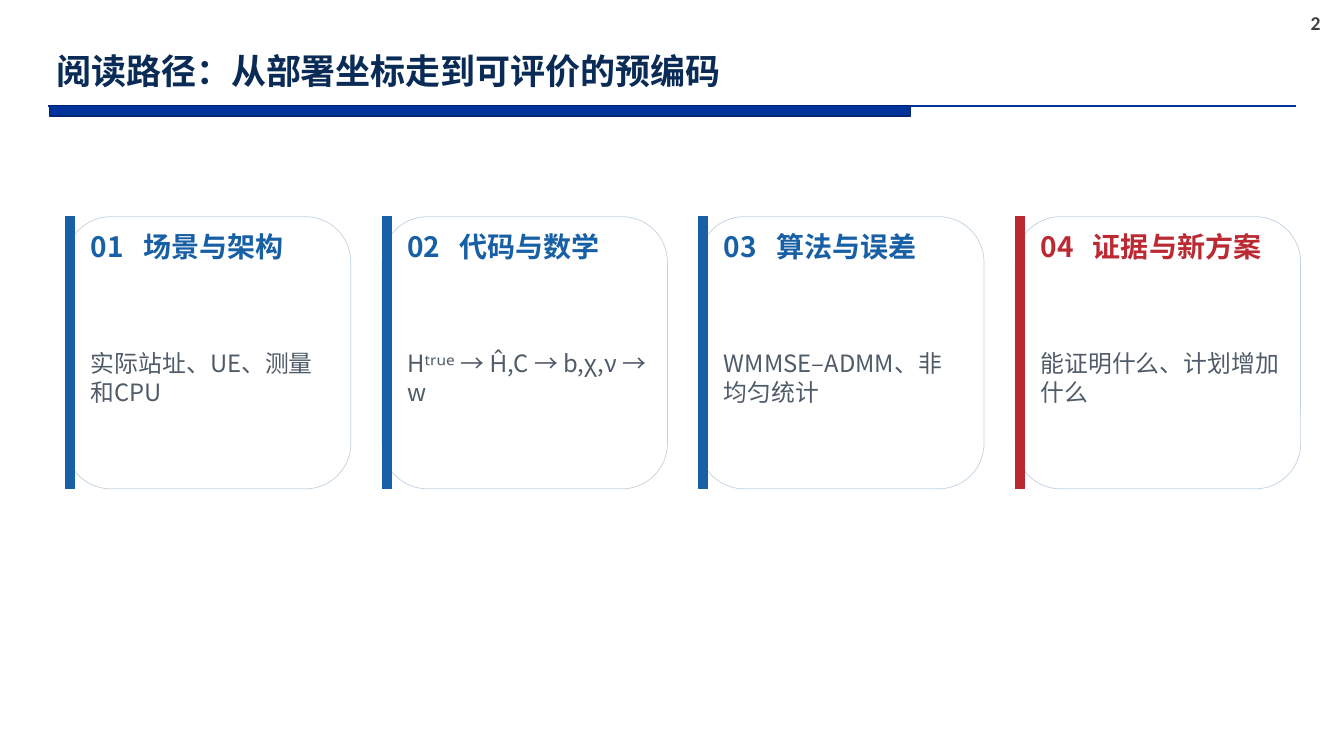
import pptx
import pptx.dml.color
import pptx.enum.shapes
import pptx.enum.text
import pptx.oxml.ns
import pptx.util
from lxml import etree
from pptx.util import Inches, Pt

TITLE = "阅读路径：从部署坐标走到可评价的预编码"
PAGE_NUMBER = "2"
BLUE, RED = "1860A6", "BB2A33"
CARDS = [
    ("01", "场景与架构", "实际站址、UE、测量和CPU", BLUE),
    ("02", "代码与数学", "Hᵗʳᵘᵉ → Ĥ,C → b,χ,ν → w", BLUE),
    ("03", "算法与误差", "WMMSE–ADMM、非均匀统计", BLUE),
    ("04", "证据与新方案", "能证明什么、计划增加什么", RED),
]
CARD_LEFT, CARD_TOP, CARD_STEP = 0.65, 2.15, 3.14
CARD_WIDTH, CARD_HEIGHT, ACCENT_WIDTH = 2.83, 2.7, 0.09
CJK_FONT = "Noto Sans CJK SC"
SHAPES = pptx.enum.shapes.MSO_SHAPE
qn = pptx.oxml.ns.qn


def colour(hex_string):
    return pptx.dml.color.RGBColor.from_string(hex_string)


def add_box(slide, kind, bounds, fill, line, line_width):
    shape = slide.shapes.add_shape(kind, *map(Inches, bounds))
    shape.shadow.inherit = False
    shape.fill.solid()
    shape.fill.fore_color.rgb = colour(fill)
    shape.line.color.rgb = colour(line)
    shape.line.width = Pt(line_width)


def add_text(slide, bounds, text, size, color, bold=False, font=CJK_FONT,
             margins=(0.05, 0.05), middle=True, tab=None, spacing=None):
    frame = slide.shapes.add_textbox(*map(Inches, bounds)).text_frame
    frame.word_wrap = True
    frame.margin_left = frame.margin_right = Inches(margins[0])
    frame.margin_top = frame.margin_bottom = Inches(margins[1])
    anchor = pptx.enum.text.MSO_ANCHOR
    frame.vertical_anchor = anchor.MIDDLE if middle else anchor.TOP
    paragraph = frame.paragraphs[0]
    paragraph.text = text
    if spacing:
        paragraph.line_spacing = spacing
    properties = paragraph._p.get_or_add_pPr()
    if tab:
        tabs = etree.SubElement(properties, qn("a:tabLst"))
        etree.SubElement(tabs, qn("a:tab"), pos=str(Inches(tab)), algn="l")
    paragraph.font.name = font
    paragraph.font.size = Pt(size)
    paragraph.font.bold = bold
    paragraph.font.color.rgb = colour(color)
    defaults = properties.find(qn("a:defRPr"))
    etree.SubElement(defaults, qn("a:ea"), typeface=font)


def add_header(slide):
    rule = slide.shapes.add_connector(
        pptx.enum.shapes.MSO_CONNECTOR.STRAIGHT,
        Inches(0.48), Inches(1.05), Inches(12.85), Inches(1.05))
    rule.line.color.rgb = colour("003399")
    rule.line.width = Pt(1.5)
    etree.SubElement(rule._element.spPr, qn("a:effectLst"))
    add_box(slide, SHAPES.RECTANGLE, (0.49, 1.05, 8.54, 0.1), "003399", "002671", 1)
    add_text(slide, (12.9, 0.06, 0.4, 0.34), PAGE_NUMBER, 14, "404040", True,
             "Calibri", margins=(0.1, 0.05), middle=False)
    add_text(slide, (0.46, 0.4, 9.45, 0.65), TITLE, 25, "092B56", True,
             margins=(0.1, 0.05), spacing=0.9)


def add_card(slide, left, number, heading, body, accent):
    add_box(slide, SHAPES.ROUNDED_RECTANGLE,
            (left, CARD_TOP, CARD_WIDTH, CARD_HEIGHT), "FFFFFF", "C2D3E1", 0.5)
    add_box(slide, SHAPES.RECTANGLE,
            (left, CARD_TOP, ACCENT_WIDTH, CARD_HEIGHT), accent, accent, 0.5)
    add_text(slide, (left + 0.2, CARD_TOP + 0.11, 2.49, 0.37),
             f"{number}\t{heading}", 20, accent, True, tab=0.52)
    add_text(slide, (left + 0.2, CARD_TOP + 0.59, 2.48, 2.01), body, 17, "4F5B69")


def main():
    presentation = pptx.Presentation()
    presentation.slide_width = Inches(13.33)
    presentation.slide_height = Inches(7.5)
    slide = presentation.slides.add_slide(presentation.slide_layouts[6])
    add_header(slide)
    for index, card in enumerate(CARDS):
        add_card(slide, CARD_LEFT + index * CARD_STEP, *card)
    presentation.save("out.pptx")


if __name__ == "__main__":
    main()
